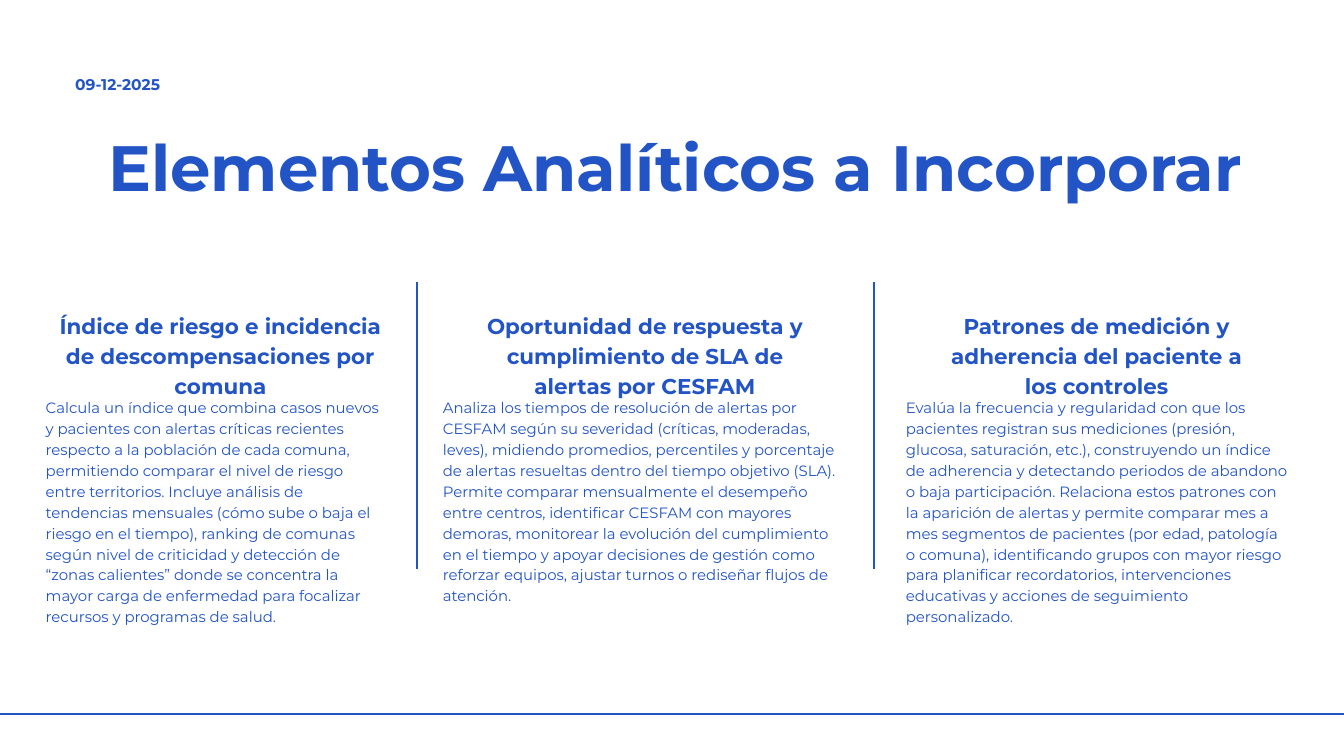
from pptx import Presentation
from pptx.dml.color import RGBColor
from pptx.enum.shapes import MSO_CONNECTOR as CONN
from pptx.enum.text import MSO_ANCHOR as ANCHOR, MSO_AUTO_SIZE as AUTO, PP_ALIGN as ALIGN
from pptx.util import Pt
from lxml import etree

BLUE = RGBColor(0x22, 0x54, 0xC5)
WHITE = RGBColor(0xFF, 0xFF, 0xFF)
A_NS = "http://schemas.openxmlformats.org/drawingml/2006/main"

HEADING_TOP, HEADING_H = 331.2, 93.6
BODY_TOP = 424.1
DIVIDER_TOP, DIVIDER_BOTTOM = 301.7, 609.8
DIVIDERS = (446.4, 936)
RULE_Y = 765.4

COLUMNS = [
    {
        "heading": "Índice de riesgo e incidencia de descompensaciones por comuna",
        "heading_x": (60.5, 351.4),
        "body": "Calcula un índice que combina casos nuevos y pacientes con alertas críticas "
                "recientes respecto a la población de cada comuna, permitiendo comparar el nivel "
                "de riesgo entre territorios. Incluye análisis de tendencias mensuales (cómo sube "
                "o baja el riesgo en el tiempo), ranking de comunas según nivel de criticidad y "
                "detección de “zonas calientes” donde se concentra la mayor carga de enfermedad "
                "para focalizar recursos y programas de salud.",
        "body_box": (49, 362.9, 238.3),
    },
    {
        "heading": "Oportunidad de respuesta y cumplimiento de SLA de alertas por CESFAM",
        "heading_x": (517, 348.5),
        "body": "Analiza los tiempos de resolución de alertas por CESFAM según su severidad "
                "(críticas, moderadas, leves), midiendo promedios, percentiles y porcentaje de "
                "alertas resueltas dentro del tiempo objetivo (SLA). Permite comparar mensualmente "
                "el desempeño entre centros, identificar CESFAM con mayores demoras, monitorear la "
                "evolución del cumplimiento en el tiempo y apoyar decisiones de gestión como "
                "reforzar equipos, ajustar turnos o rediseñar flujos de atención.",
        "body_box": (474.5, 432.7, 216.7),
    },
    {
        "heading": "Patrones de medición y adherencia del paciente a los controles",
        "heading_x": (1000.8, 348.5),
        "body": "Evalúa la frecuencia y regularidad con que los pacientes registran sus mediciones "
                "(presión, glucosa, saturación, etc.), construyendo un índice de adherencia y "
                "detectando periodos de abandono o baja participación. Relaciona estos patrones "
                "con la aparición de alertas y permite comparar mes a mes segmentos de pacientes "
                "(por edad, patología o comuna), identificando grupos con mayor riesgo para "
                "planificar recordatorios, intervenciones educativas y acciones de seguimiento "
                "personalizado.",
        "body_box": (970.6, 410.4, 238.3),
    },
]


class SlideBuilder:
    FONT = "Montserrat"
    COLOR = BLUE
    LINE_WIDTH = 2.25
    FRAME = {
        "margin_left": 0, "margin_top": 0, "margin_right": 0, "margin_bottom": 0,
        "word_wrap": True, "vertical_anchor": ANCHOR.TOP,
    }

    def __init__(self, prs):
        self.s = prs.slides.add_slide(prs.slide_layouts[5])
        fill = self.s.background.fill
        fill.solid()
        fill.fore_color.rgb = WHITE

    def set_text(self, sp, text, size, leading, bold, align, auto_size):
        tf = sp.text_frame
        for name, value in {**self.FRAME, "auto_size": auto_size}.items():
            setattr(tf, name, value)
        p = tf.paragraphs[0]
        for name, value in {"alignment": align, "line_spacing": Pt(leading),
                            "space_before": Pt(0)}.items():
            setattr(p, name, value)
        r = p.add_run()
        r.text = text
        for name, value in {"name": self.FONT, "size": Pt(size), "bold": bold}.items():
            setattr(r.font, name, value)
        r.font.color.rgb = self.COLOR

    def title(self, text, x, y, w, h, size, leading):
        sp = self.s.shapes.title
        for name, value in {"left": x, "top": y, "width": w, "height": h}.items():
            setattr(sp, name, Pt(value))
        self.set_text(sp, text, size, leading, True, ALIGN.LEFT, AUTO.NONE)

    def text(self, text, x, y, w, h, size, leading, bold=False, align=ALIGN.LEFT):
        sp = self.s.shapes.add_textbox(Pt(x), Pt(y), Pt(w), Pt(h))
        self.set_text(sp, text, size, leading, bold, align, AUTO.SHAPE_TO_FIT_TEXT)

    def line(self, x1, y1, x2, y2):
        sp = self.s.shapes.add_connector(CONN.STRAIGHT, Pt(x1), Pt(y1), Pt(x2), Pt(y2))
        sp.line.color.rgb = self.COLOR
        sp.line.width = Pt(self.LINE_WIDTH)
        etree.SubElement(sp._element.spPr, f"{{{A_NS}}}effectLst")


def main():
    prs = Presentation()
    prs.slide_width, prs.slide_height = Pt(1440), Pt(810)
    slide = SlideBuilder(prs)

    slide.title("Elementos Analíticos a Incorporar", 115.9, 123.1, 1243.4, 92.9, 68.6, 96)
    for col in COLUMNS:
        x, w = col["heading_x"]
        slide.text(col["heading"], x, HEADING_TOP, w, HEADING_H, 23, 32.2, True, ALIGN.CENTER)
        x, w, h = col["body_box"]
        slide.text(col["body"], x, BODY_TOP, w, h, 16, 22.4)

    slide.line(-80.6, RULE_Y, 1529.3, RULE_Y)
    for x in DIVIDERS:
        slide.line(x, DIVIDER_TOP, x, DIVIDER_BOTTOM)
    slide.text("09-12-2025", 80.6, 77, 146.2, 21.6, 16.6, 23.2, True)

    prs.save("out.pptx")


if __name__ == "__main__":
    main()
